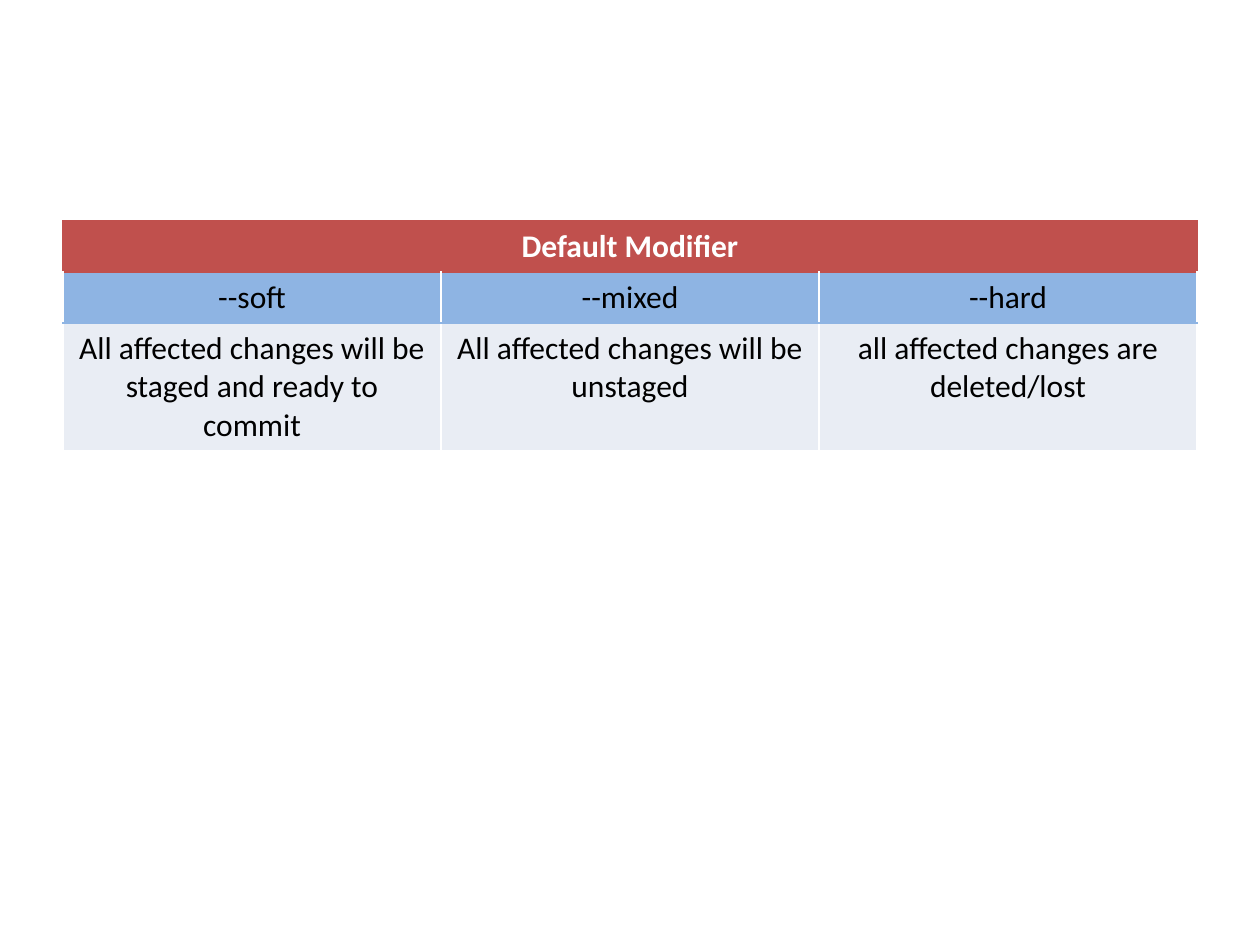
from pptx import Presentation
from pptx import util as u
from pptx.dml.color import RGBColor
from pptx.enum import text
from pptx.oxml import parse_xml
from pptx.oxml.ns import nsdecls

PX = 914400 / 126
RED = RGBColor(0xC0, 0x50, 0x4D)
BLUE = RGBColor(0x8E, 0xB4, 0xE3)
PALE = RGBColor(0xE9, 0xED, 0xF4)
WHITE = RGBColor(0xFF, 0xFF, 0xFF)
BLACK = RGBColor(0, 0, 0)


def px(n):
    return u.Emu(round(n * PX))


class Deck:
    font = "Calibri"
    size = u.Pt(18)

    def __init__(self, show):
        self.slide = show.slides.add_slide(show.slide_layouts[6])

    def table(self, x, y, wide, highs, rows):
        cols = len(rows[0][0])
        frame = self.slide.shapes.add_table(
            len(rows), cols, px(x), px(y), px(wide), px(sum(highs)))
        grid = frame.table
        for col in grid.columns:
            col.width = px(wide / cols)
        for i, (words, fill, ink, edges, bold) in enumerate(rows):
            grid.rows[i].height = px(highs[i])
            for j, word in enumerate(words):
                self.cell(grid.cell(i, j), word, fill, ink, edges, bold)

    def cell(self, cell, word, fill, ink, edges, bold):
        cell.fill.solid()
        cell.fill.fore_color.rgb = fill
        para = cell.text_frame.paragraphs[0]
        para.alignment = text.PP_ALIGN.CENTER
        para.font.size = self.size
        if word:
            run = para.add_run()
            run.text = word
            run.font.name = self.font
            run.font.size = self.size
            run.font.bold = bold
            run.font.color.rgb = ink
        # Borders come before the fill in the cell properties
        props = cell._tc.get_or_add_tcPr()
        for i, (side, color) in enumerate(zip("LRTB", edges)):
            props.insert(i, parse_xml(
                f'<a:ln{side} {nsdecls("a")} w="12700"><a:solidFill>'
                f'<a:srgbClr val="{color}"/></a:solidFill></a:ln{side}>'))


show = Presentation()
show.slide_width, show.slide_height = px(1260), px(945)
deck = Deck(show)

# Reset modifiers: heading, options, effects
head = ["", "Default Modifier", ""]
modes = ["--soft", "--mixed", "--hard"]
notes = ["All affected changes will be staged and ready to commit",
         "All affected changes will be unstaged",
         "all affected changes are deleted/lost"]
deck.table(63, 221, 1134, [51, 51, 126], [
    (head, RED, WHITE, [RED] * 4, True),
    (modes, BLUE, BLACK, [WHITE, WHITE, RED, BLUE], False),
    (notes, PALE, BLACK, [WHITE, WHITE, BLUE, WHITE], False),
])

show.save("out.pptx")
